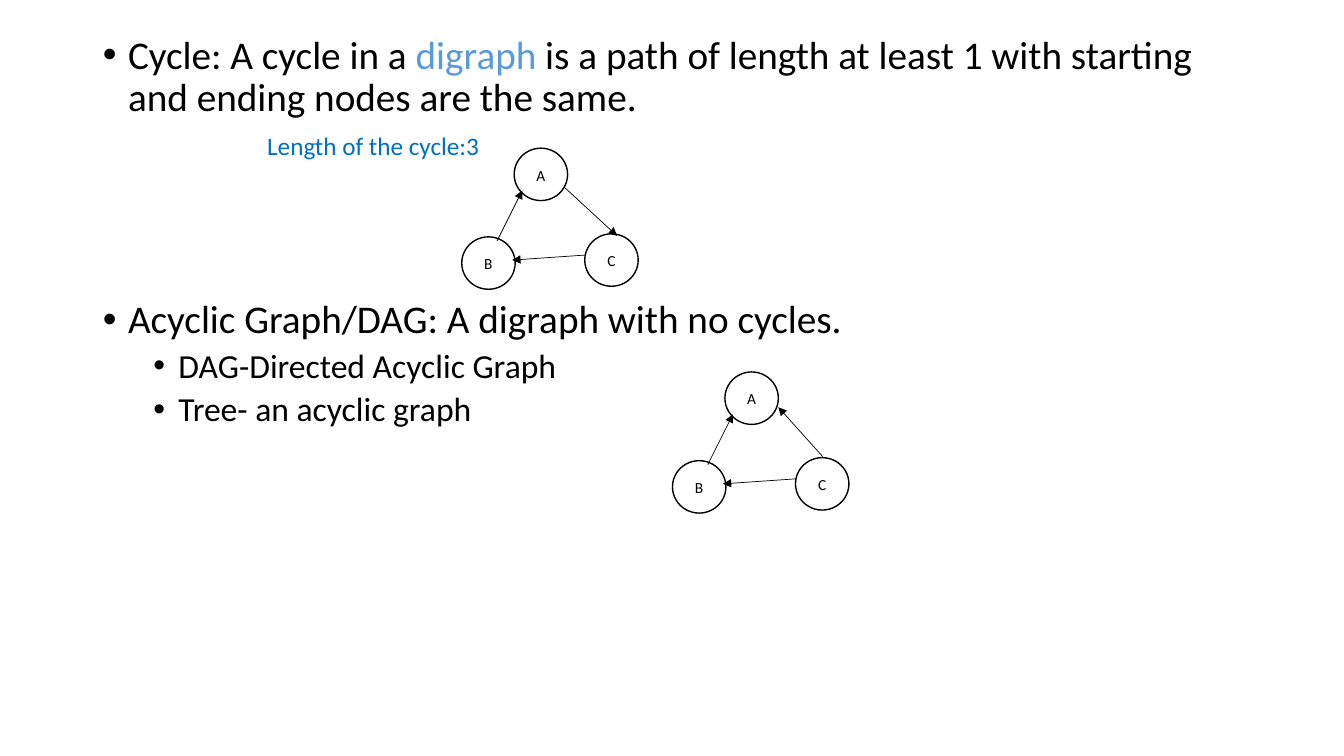
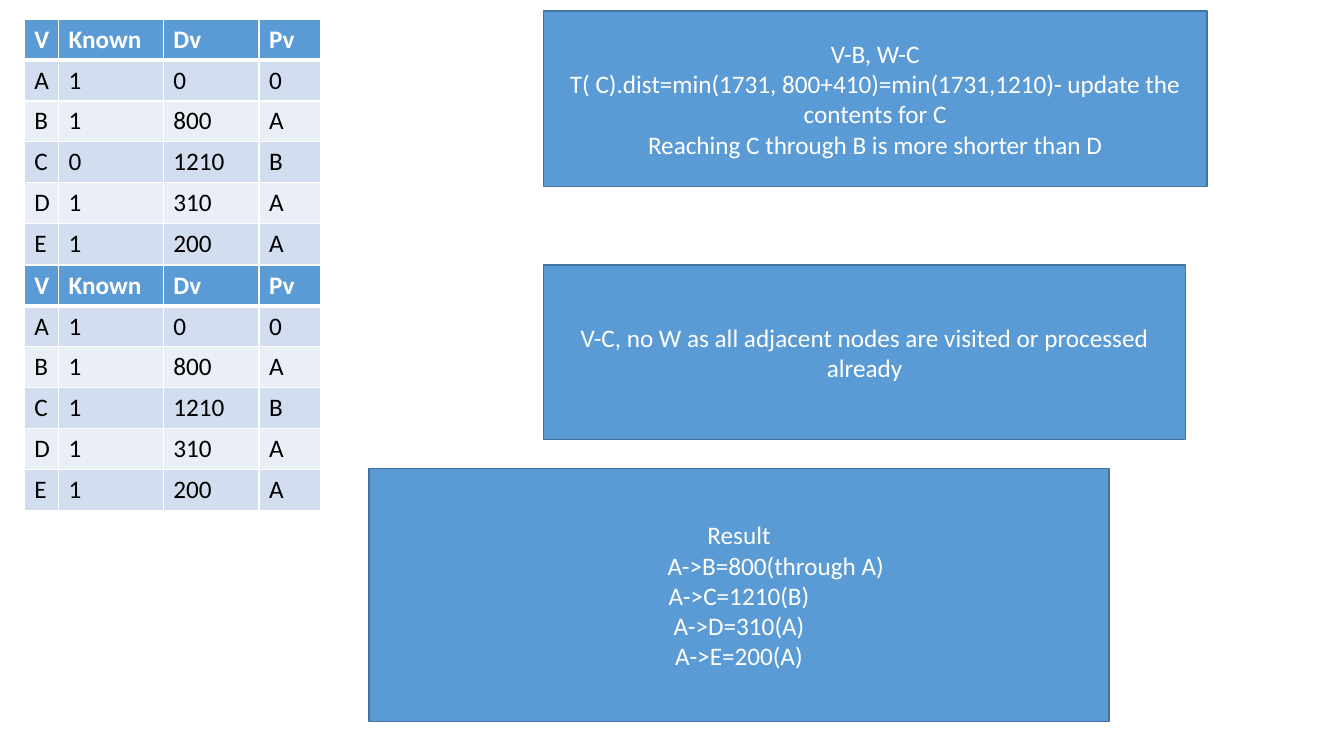
import pptx
import pptx.util
import pptx.dml.color
import pptx.enum.shapes
import pptx.enum.text
import pptx.oxml
import pptx.oxml.ns

PX = 9144  # EMU, 100 px to the inch
FONT = "Calibri"
COLOURS = {
    "black": "000000", "white": "FFFFFF", "accent": "5B9BD5", "edge": "43739E",
    "label": "0070C0", "band": "D2DEEF", "pale": "EAEFF7",
}

BODY_BOX = (92, 30, 1150, 646)
BULLET = {"marL": 25, "indent": -25, "bullet": True, "size": 28, "before": 10}
SUB_BULLET = {"marL": 75, "indent": -25, "bullet": True, "size": 24, "before": 5, "level": 1}
LABEL = {"marL": 163, "indent": 0, "bullet": False, "size": 18, "before": 10}
BODY = [
    (BULLET, [("Cycle: A cycle in a ", "black"), ("digraph", "accent"),
              (" is a path of length at least 1 with starting and ending nodes are the same.",
               "black")]),
    (LABEL, [("Length of the cycle:3", "label")]),
    ({**BULLET, "before": 99}, [("Acyclic Graph/DAG: A digraph with no cycles.", "black")]),
    (SUB_BULLET, [("DAG-Directed Acyclic Graph", "black")]),
    (SUB_BULLET, [("Tree- an acyclic graph", "black")]),
]

NODE_SIZE = (53, 52)
NODES = {"A": (52, 0), "B": (0, 88), "C": (122, 85)}
B_TO_A = (35, 92, 60, 42)
C_TO_B = (123, 106, 50, 111)
GRAPHS = [
    ((458, 147), [B_TO_A, (102, 39, 154, 87), C_TO_B]),
    ((667, 369), [B_TO_A, (149, 84, 105, 35), C_TO_B]),
]

TABLE_SIZE = (293, 243)
COLUMN_WIDTHS = [34, 104, 95, 61]
HEADER = ("V", "Known", "Dv", "Pv")


def distance_rows(c_known):
    return [HEADER, ("A", "1", "0", "0"), ("B", "1", "800", "A"),
            ("C", c_known, "1210", "B"), ("D", "1", "310", "A"), ("E", "1", "200", "A")]


TABLES = [((24, 19), distance_rows("0")), ((24, 263), distance_rows("1"))]

# Each line of a box is its text and its left margin.
BOXES = [
    ((539, 11, 658, 174), [
        ("V-B, W-C", 0),
        ("T( C).dist=min(1731, 800+410)=min(1731,1210)- update the contents for C", 0),
        ("Reaching C through B is more shorter than D", 0)]),
    ((539, 263, 637, 173), [
        ("V-C, no W as all adjacent nodes are visited or processed already", 0)]),
    ((366, 465, 734, 251), [
        ("Result", 0), ("A->B=800(through A)", 73), ("A->C=1210(B)", 0),
        ("A->D=310(A)", 0), ("A->E=200(A)", 0)]),
]


def emu(*lengths):
    return [pptx.util.Emu(round(length * PX)) for length in lengths]


def rgb(name):
    return pptx.dml.color.RGBColor.from_string(COLOURS[name])


def apply(target, formats):
    for name, value in formats.items():
        setattr(target, name, value)


def add_run(paragraph, text, size, colour, bold=False):
    run = paragraph.add_run()
    run.text = text
    apply(run.font, {"name": FONT, "size": pptx.util.Pt(size), "bold": bold})
    run.font.color.rgb = rgb(colour)


def add_xml(parent, xml):
    """Append an element of the drawing namespace to parent."""
    tag, rest = xml[1:].split(None, 1) if " " in xml else (xml[1:-2], "/>")
    parent.append(pptx.oxml.parse_xml(f"<{tag} {pptx.oxml.ns.nsdecls('a')} {rest}"))


def paragraphs_for(frame, count):
    return [frame.paragraphs[0]] + [frame.add_paragraph() for _ in range(count - 1)]


def fill_body(body):
    apply(body, dict(zip(("left", "top", "width", "height"), emu(*BODY_BOX))))
    frame = body.text_frame
    apply(frame, {"word_wrap": True, "auto_size": pptx.enum.text.MSO_AUTO_SIZE.NONE,
                  "vertical_anchor": pptx.enum.text.MSO_ANCHOR.TOP})
    for paragraph, (style, runs) in zip(paragraphs_for(frame, len(BODY)), BODY):
        apply(paragraph, {"level": style.get("level", 0), "line_spacing": 0.9,
                          "space_before": pptx.util.Pt(style["before"]),
                          "space_after": pptx.util.Pt(0)})
        properties = paragraph._p.get_or_add_pPr()
        for name in ("marL", "indent"):
            properties.set(name, str(style[name] * PX))
        if style["bullet"]:
            add_xml(properties, '<a:buFont typeface="Arial"/>')
            add_xml(properties, '<a:buChar char="•"/>')
        else:
            add_xml(properties, "<a:buNone/>")
        for text, colour in runs:
            add_run(paragraph, text, style["size"], colour)


def add_filled_shape(shapes, kind, box, fill, line):
    shape = shapes.add_shape(kind, *emu(*box))
    shape.shadow.inherit = False
    shape.fill.solid()
    shape.fill.fore_color.rgb = rgb(fill)
    shape.line.color.rgb = rgb(line)
    shape.line.width = pptx.util.Pt(1)
    shape.text_frame.vertical_anchor = pptx.enum.text.MSO_ANCHOR.MIDDLE
    return shape


def add_arrow(shapes, points):
    arrow = shapes.add_connector(pptx.enum.shapes.MSO_CONNECTOR.STRAIGHT, *emu(*points))
    arrow.line.color.rgb = rgb("black")
    arrow.line.width = pptx.util.Pt(0.5)
    add_xml(arrow.line._get_or_add_ln(), '<a:tailEnd type="triangle"/>')
    add_xml(arrow._element.spPr, "<a:effectLst/>")


def add_graph(slide, origin, edges):
    left, top = origin
    shapes = slide.shapes.add_group_shape().shapes
    for name, (x, y) in NODES.items():
        node = add_filled_shape(shapes, pptx.enum.shapes.MSO_SHAPE.OVAL,
                                (left + x, top + y, *NODE_SIZE), "white", "black")
        paragraph = node.text_frame.paragraphs[0]
        apply(paragraph, {"alignment": pptx.enum.text.PP_ALIGN.CENTER,
                          "line_spacing": 1.07, "space_after": pptx.util.Pt(8)})
        add_run(paragraph, name, 11, "black")
    for x1, y1, x2, y2 in edges:
        add_arrow(shapes, (left + x1, top + y1, left + x2, top + y2))


def add_borders(cell, row):
    properties = cell._tc.get_or_add_tcPr()
    widths = {"L": 1, "R": 1, "T": 3 if row == 1 else 1, "B": 3 if row == 0 else 1}
    for side, width in widths.items():
        add_xml(properties, f'<a:ln{side} w="{width * 12700}"><a:solidFill>'
                            f'<a:srgbClr val="{COLOURS["white"]}"/></a:solidFill></a:ln{side}>')


def add_distance_table(slide, origin, rows):
    table = slide.shapes.add_table(len(rows), len(HEADER), *emu(*origin, *TABLE_SIZE)).table
    for column, width in zip(table.columns, emu(*COLUMN_WIDTHS)):
        column.width = width
    for row, values in enumerate(rows):
        table.rows[row].height = emu(TABLE_SIZE[1] / len(rows))[0]
        header = row == 0
        fill = "accent" if header else ("band" if row % 2 else "pale")
        for column, text in enumerate(values):
            cell = table.cell(row, column)
            add_borders(cell, row)
            cell.fill.solid()
            cell.fill.fore_color.rgb = rgb(fill)
            add_run(cell.text_frame.paragraphs[0], text, 18,
                    "white" if header else "black", header)


def add_box(slide, box, lines):
    shape = add_filled_shape(slide.shapes, pptx.enum.shapes.MSO_SHAPE.RECTANGLE,
                             box, "accent", "edge")
    for paragraph, (text, margin) in zip(paragraphs_for(shape.text_frame, len(lines)), lines):
        paragraph.alignment = pptx.enum.text.PP_ALIGN.CENTER
        if margin:
            paragraph._p.get_or_add_pPr().set("marL", str(margin * PX))
        add_run(paragraph, text, 18, "white")


def build_cycle_slide(presentation):
    slide = presentation.slides.add_slide(presentation.slide_layouts[1])
    title = slide.shapes.title.element
    title.getparent().remove(title)
    fill_body(slide.placeholders[1])
    for origin, edges in GRAPHS:
        add_graph(slide, origin, edges)


def build_distance_slide(presentation):
    slide = presentation.slides.add_slide(presentation.slide_layouts[6])
    for origin, rows in TABLES:
        add_distance_table(slide, origin, rows)
    for box, lines in BOXES:
        add_box(slide, box, lines)


def main():
    presentation = pptx.Presentation()
    presentation.slide_width, presentation.slide_height = emu(1333, 750)
    build_cycle_slide(presentation)
    build_distance_slide(presentation)
    presentation.save("out.pptx")


if __name__ == "__main__":
    main()
